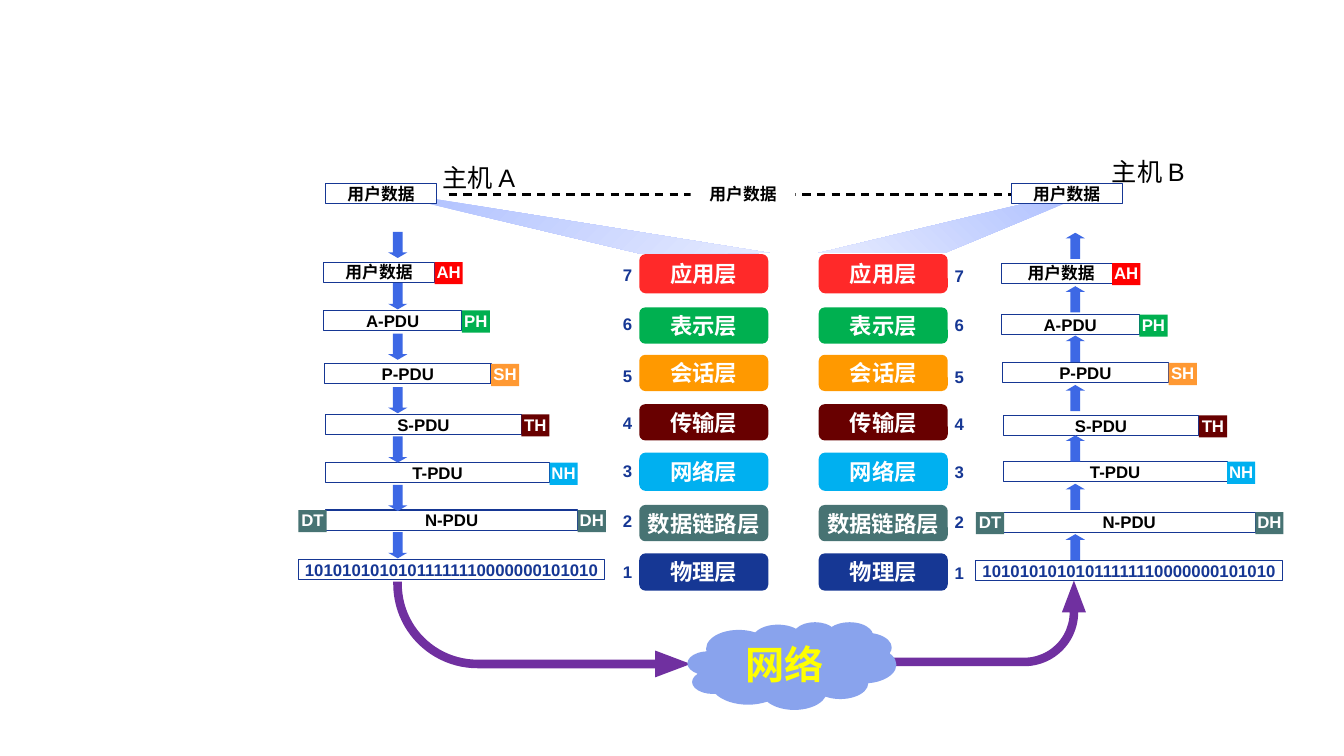
from pptx import Presentation
from pptx.dml.color import RGBColor
from pptx.enum.dml import MSO_LINE
from pptx.enum.shapes import MSO_CONNECTOR, MSO_SHAPE
from pptx.enum.text import MSO_ANCHOR, PP_ALIGN
from pptx.oxml.ns import qn
from pptx.util import Inches, Pt
from lxml import etree

RECT, LAYER = MSO_SHAPE.RECTANGLE, MSO_SHAPE.FLOWCHART_ALTERNATE_PROCESS
DOWN, BENT, CLOUD = MSO_SHAPE.DOWN_ARROW, MSO_SHAPE.BENT_ARROW, MSO_SHAPE.CLOUD
TOP, MIDDLE = MSO_ANCHOR.TOP, MSO_ANCHOR.MIDDLE
LEFT, CENTER = PP_ALIGN.LEFT, PP_ALIGN.CENTER
STRAIGHT, DASH = MSO_CONNECTOR.STRAIGHT, MSO_LINE.DASH

COLORS = {
    "white": "FFFFFF", "black": "000000", "navy": "163794", "arrow": "3D68E5",
    "red": "FF0000", "layer red": "FF2929", "green": "00B050", "orange": "FF9900",
    "light orange": "FF9933", "maroon": "680000", "sky": "00B0F0", "teal": "477373",
    "purple": "7030A0", "cloud": "89A3ED", "yellow": "FFFF00",
    "beam dark": "B1C2FF", "beam light": "E6EBFF",
}
USER_DATA = "用户数据"
BITS = "10101010101011111110000000101010"
TAG_WIDTH, TAG_HEIGHT, ROW_HEIGHT, TAIL_SHIFT = 0.28, 0.22, 0.2, 0.27

# Unit name, shift from the host's left edge, width, header and its colour
UNITS = [
    (USER_DATA, -0.02, 1.1, "AH", "red"),
    ("A-PDU", -0.02, 1.37, "PH", "green"),
    ("P-PDU", -0.01, 1.65, "SH", "light orange"),
    ("S-PDU", 0, 1.94, "TH", "maroon"),
    ("T-PDU", 0, 2.22, "NH", "sky"),
    ("N-PDU", 0, 2.5, "DH", "teal"),
]
# Layer name, colour, drop from the stack's top, height, drop of its number
LAYERS = [
    ("应用层", "layer red", 0, 0.39, 0.06),
    ("表示层", "green", 0.53, 0.36, 0.54),
    ("会话层", "orange", 1.0, 0.36, 1.06),
    ("传输层", "maroon", 1.49, 0.36, 1.53),
    ("网络层", "sky", 1.97, 0.38, 2.0),
    ("数据链路层", "teal", 2.49, 0.36, 2.5),
    ("物理层", "navy", 2.97, 0.37, 3.0),
]


def rgb(name):
    return RGBColor.from_string(COLORS[name])


def write(shape, text, size, color, bold=True, align=CENTER, anchor=TOP,
          wrap=True, margin=None):
    frame = shape.text_frame
    frame.text = text
    frame.word_wrap = wrap
    frame.vertical_anchor = anchor
    if margin is not None:
        for side in ("left", "top", "right", "bottom"):
            setattr(frame, f"margin_{side}", Inches(margin))
    paragraph = frame.paragraphs[0]
    paragraph.alignment = align
    font = paragraph.runs[0].font
    for key, value in {"name": "Arial", "size": Pt(size), "bold": bold}.items():
        setattr(font, key, value)
    font.color.rgb = rgb(color)


def block(slide, kind, box, fill=None, line=None):
    shape = slide.shapes.add_shape(kind, *map(Inches, box))
    shape.shadow.inherit = False
    if fill:
        shape.fill.solid()
        shape.fill.fore_color.rgb = rgb(fill)
    else:
        shape.fill.background()
    if line:
        shape.line.color.rgb = rgb(line)
        shape.line.width = Pt(0.75)
    else:
        shape.line.fill.background()
    return shape


def arrow(slide, kind, box, fill, adjustments, flip=False, rotation=0):
    shape = block(slide, kind, box, fill)
    for index, value in enumerate(adjustments):
        shape.adjustments[index] = value
    shape.rotation = rotation
    if flip:
        shape._element.spPr.find(qn("a:xfrm")).set("flipV", "1")


def unit(slide, left, top, width, text, fill="white", line="navy", color="black"):
    shape = block(slide, RECT, (left, top, width, ROW_HEIGHT), fill, line)
    write(shape, text, 12, color, margin=0)
    return shape


def tag(slide, left, top, text, fill):
    shape = block(slide, RECT, (left, top, TAG_WIDTH, TAG_HEIGHT), fill)
    write(shape, text, 12, "white", wrap=False, margin=0)


def label(slide, box, text, size, color, **style):
    write(slide.shapes.add_textbox(*map(Inches, box)), text, size, color, **style)


def host(slide, left, top, row_drops, arrow_drops, upward, data_indent=0):
    """Column of data units, growing by one header per layer."""
    for (name, shift, width, header, color), drop in zip(UNITS, row_drops):
        x, y = left + shift, top + drop
        row = unit(slide, x, y, width, name)
        if name == USER_DATA:
            row.text_frame.margin_left = Inches(data_indent)
        tag(slide, x + width, y, header, color)
    # Link trailer and the bit stream
    tag(slide, left - TAIL_SHIFT, top + row_drops[-2], "DT", "teal")
    unit(slide, left - TAIL_SHIFT, top + row_drops[-1], 3.04, BITS,
         fill=None, color="navy")
    for drop in arrow_drops:
        arrow(slide, DOWN, (left + 0.62, top + drop, 0.19, 0.26), "arrow",
              (0.5, 0.29), flip=upward)


def layer_stack(slide, left, top, number_left, number_shift=0):
    """Seven numbered protocol layers."""
    for index, (name, color, drop, height, number_drop) in enumerate(LAYERS):
        number_top = top + number_drop + number_shift
        label(slide, (number_left, number_top, 0.41, 0.3), str(len(LAYERS) - index),
              12, "navy", align=LEFT)
        layer = block(slide, LAYER, (left, top + drop, 1.28, height), color)
        write(layer, name, 16, "white", anchor=MIDDLE, wrap=False)


def network(slide, left, top):
    """Cloud with the arrows that lead in and out."""
    bend = (0.14, 0.37, 0.88)
    arrow(slide, BENT, (left, top, 2.95, 0.95), "purple", (0.09, *bend), flip=True)
    arrow(slide, BENT, (left + 5.44, top - 0.59, 0.85, 2.01), "purple",
          (0.1, *bend), flip=True, rotation=270)
    cloud = block(slide, CLOUD, (left + 2.92, top + 0.4, 2.07, 0.87), "cloud")
    write(cloud, "网络", 28, "yellow", wrap=False)


def beam(slide, points, angle):
    """Faded wedge between user data and the top layer."""
    start, *rest = [tuple(map(Inches, point)) for point in points]
    builder = slide.shapes.build_freeform(*start, scale=1.0)
    builder.add_line_segments(rest, close=True)
    wedge = builder.convert_to_shape()
    wedge.shadow.inherit = False
    wedge.line.fill.background()
    wedge.fill.gradient()
    wedge.fill.gradient_angle = angle
    for stop, name in zip(wedge.fill.gradient_stops, ("beam dark", "beam light")):
        stop.color.rgb = rgb(name)


def exchange(slide, left, top):
    """Dashed link between the user data of both hosts."""
    y = Inches(top + 0.11)
    link = slide.shapes.add_connector(STRAIGHT, Inches(left + 1.22), y,
                                      Inches(left + 7.13), y)
    link.line.color.rgb = rgb("black")
    link.line.width = Pt(1.5)
    link.line.dash_style = DASH
    etree.SubElement(link.line._get_or_add_ln(), qn("a:tailEnd")).set("type", "triangle")
    etree.SubElement(link._element.spPr, qn("a:effectLst"))
    unit(slide, left + 3.62, top, 1.04, USER_DATA, line=None)
    beam(slide, [(4.12, 1.99), (4.22, 1.96), (7.63, 2.51), (6.36, 2.52)], 315)
    beam(slide, [(8.12, 2.51), (9.37, 2.51), (10.58, 2.01), (10.49, 1.94)], 225)
    for shift in (0, 6.8):
        unit(slide, left + shift, top, 1.1, USER_DATA)


def main():
    deck = Presentation()
    deck.slide_width, deck.slide_height = Inches(13.33), Inches(7.5)
    slide = deck.slides.add_slide(deck.slide_layouts[6])
    host(slide, 9.95, 1.82, (0.79, 1.3, 1.78, 2.3, 2.76, 3.26, 3.74),
         (0.49, 1.02, 1.51, 2.0, 2.5, 2.98, 3.48), upward=True, data_indent=0.09)
    host(slide, 3.23, 1.82, (0.78, 1.26, 1.79, 2.29, 2.77, 3.24, 3.73),
         (0.48, 0.99, 1.49, 2.02, 2.51, 2.99, 3.46), upward=False)
    for left, top, name in ((4.25, 1.56, "主机 A"), (10.89, 1.5, "主机 B")):
        label(slide, (left, top, 1, 0.4), name, 18, "black", bold=False)
    layer_stack(slide, 6.34, 2.52, 6.08)
    layer_stack(slide, 8.12, 2.52, 9.37, number_shift=0.01)
    network(slide, 3.9, 5.77)
    exchange(slide, 3.23, 1.82)
    deck.save("out.pptx")


if __name__ == "__main__":
    main()
